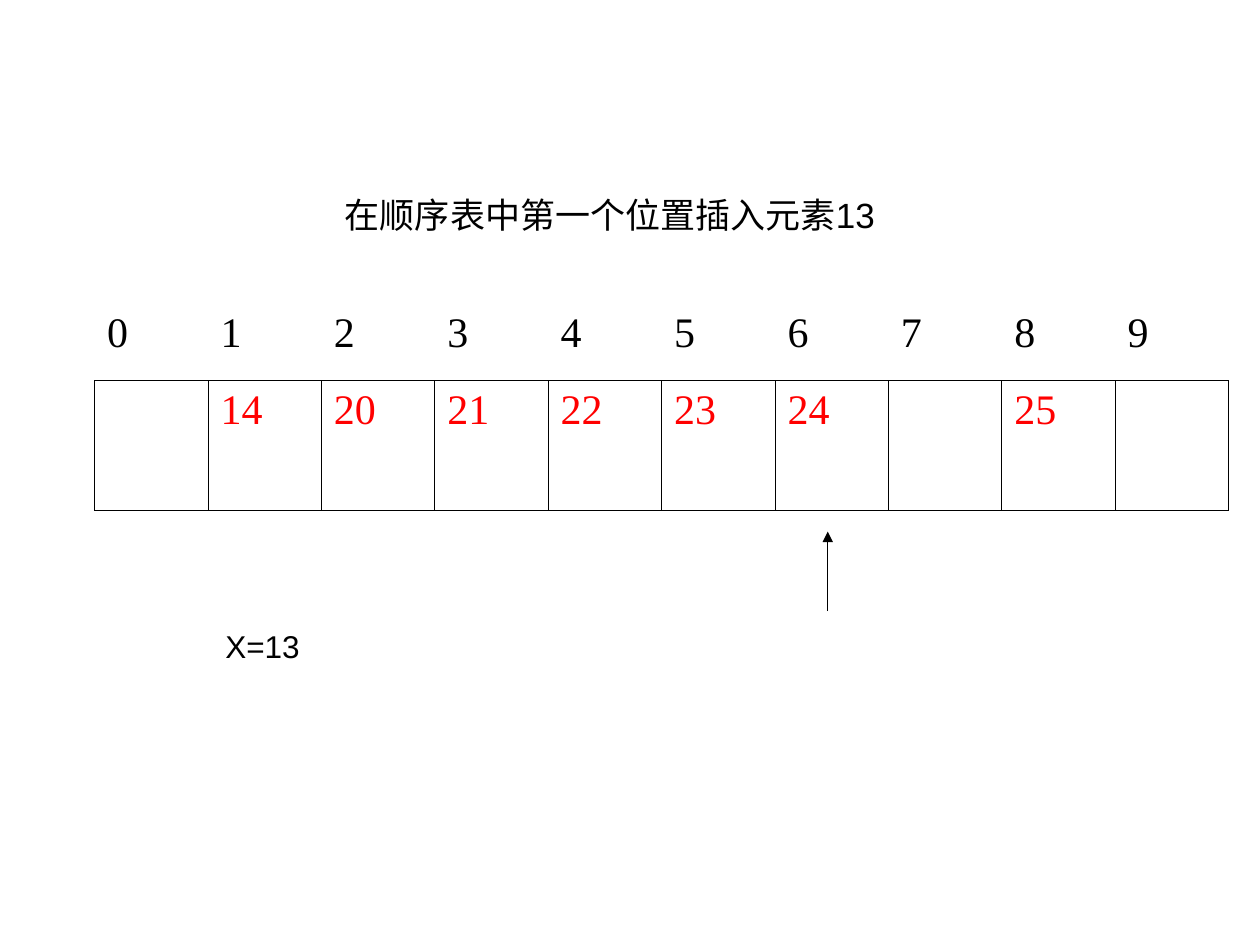
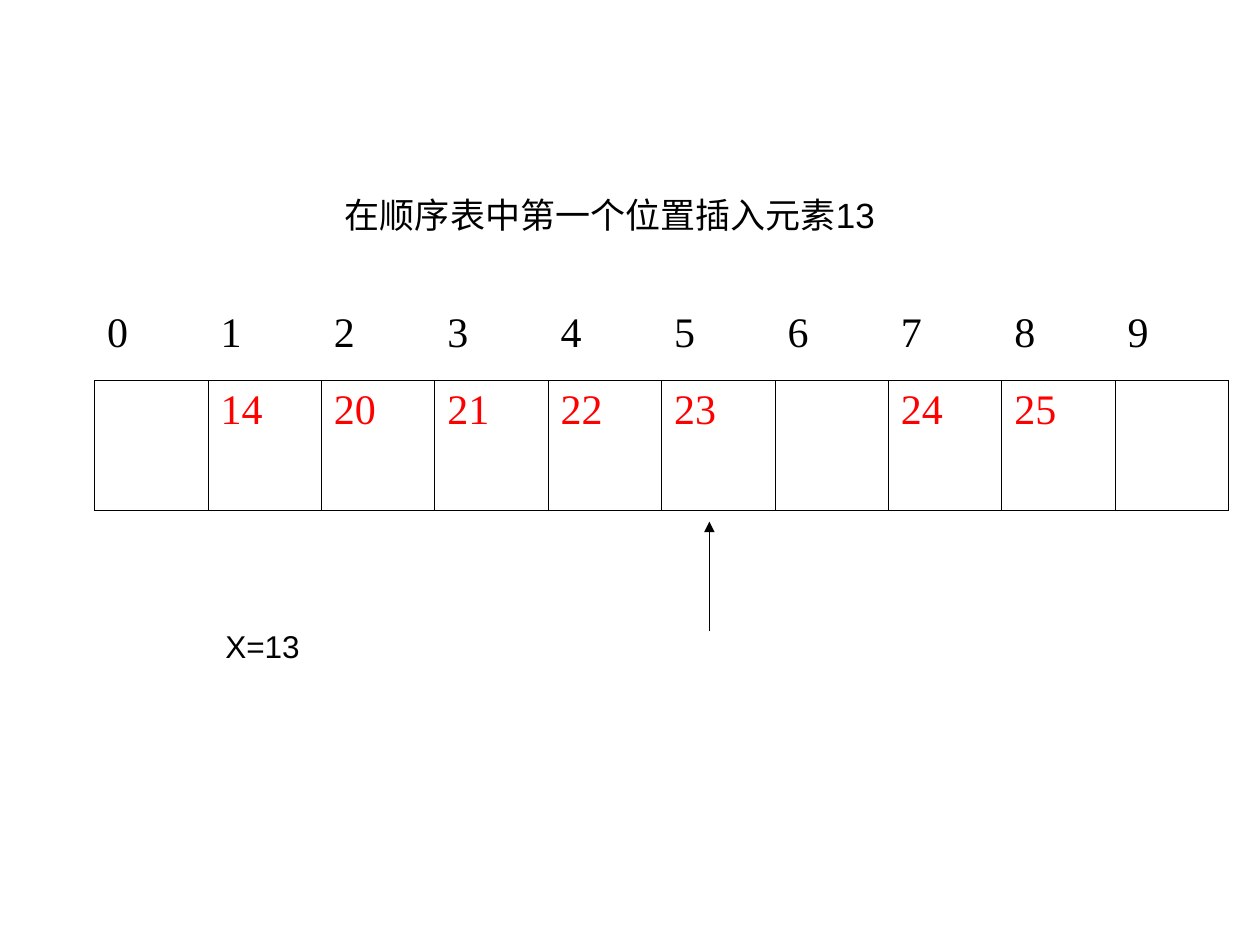
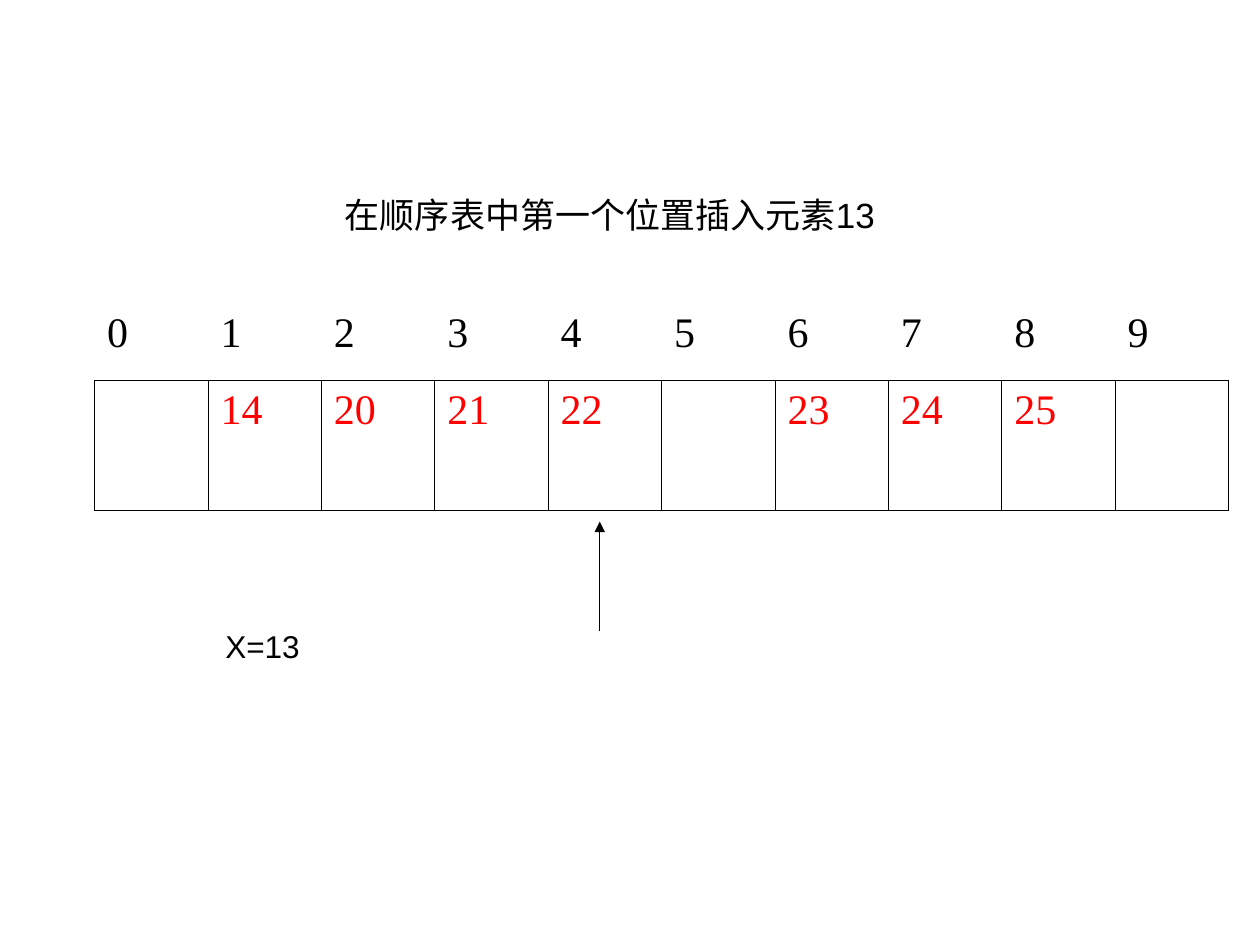
from lxml.etree import SubElement
from pptx import Presentation
from pptx.dml.color import RGBColor
from pptx.enum.shapes import MSO_CONNECTOR
from pptx.enum.text import MSO_ANCHOR, MSO_AUTO_SIZE, PP_ALIGN
from pptx.oxml.ns import qn
from pptx.util import Inches, Pt

TITLE = "在顺序表中第一个位置插入元素13"
NOTE = "X=13"
ITEMS = ["14", "20", "21", "22", "23", "24", "25"]
COUNT = 10
STEPS = [
    {"gap": 7, "x": 6.57, "tail": 4.85, "tip": 4.22},
    {"gap": 6, "x": 5.63, "tail": 5.01, "tip": 4.14},
    {"gap": 5, "x": 4.76, "tail": 5.01, "tip": 4.14},
]
BLACK, RED = "000000", "FF0000"
SANS, SERIF = "Arial", "Times New Roman"
GRID = (0.75, 2.41, 9, 1.64)
ROWS = (0.61, 1.03)
PLAIN = "{2D5ABB26-0587-4C30-8999-92F81FD0307C}"


def color(code):
    return RGBColor.from_string(code)


def write(para, text, size, face, code=BLACK):
    run = para.add_run()
    run.text = text
    run.font.size = Pt(size)
    run.font.name = face
    run.font.color.rgb = color(code)


def border(cell, sides):
    props = cell._tc.get_or_add_tcPr()
    for side in sides:
        line = SubElement(props, qn("a:ln" + side), w=str(Pt(0.45)))
        fill = SubElement(line, qn("a:solidFill"))
        SubElement(fill, qn("a:srgbClr"), val=BLACK)


def add_title(slide):
    shape = slide.shapes.title
    shape.left, shape.top, shape.width, shape.height = map(
        Inches, (0.59, 1.39, 8.5, 0.63))
    frame = shape.text_frame
    frame.auto_size = MSO_AUTO_SIZE.NONE
    frame.vertical_anchor = MSO_ANCHOR.MIDDLE
    para = frame.paragraphs[0]
    para.alignment = PP_ALIGN.CENTER
    write(para, TITLE, 20, SANS)


def add_grid(slide, gap):
    frame = slide.shapes.add_table(2, COUNT, *map(Inches, GRID))
    table = frame.table
    table.first_row = table.horz_banding = False
    table._tbl.tblPr.find(qn("a:tableStyleId")).text = PLAIN
    for col in table.columns:
        col.width = Inches(GRID[2] / COUNT)
    for row, high in zip(table.rows, ROWS):
        row.height = Inches(high)
    slots = [""] + ITEMS[:gap - 1] + [""] + ITEMS[gap - 1:] + [""]
    heads = [str(num) for num in range(COUNT)]
    kinds = [(heads, BLACK, "B"), (slots, RED, "LRTB")]
    for row, (texts, code, sides) in enumerate(kinds):
        for col, text in enumerate(texts):
            cell = table.cell(row, col)
            border(cell, sides)
            cell.fill.background()
            if text:
                write(cell.text_frame.paragraphs[0], text, 24, SERIF, code)


def add_arrow(slide, x, tail, tip):
    arrow = slide.shapes.add_connector(
        MSO_CONNECTOR.STRAIGHT, *map(Inches, (x, tail, x, tip)))
    arrow.line.color.rgb = color(BLACK)
    arrow.line.width = Pt(0.75)
    SubElement(arrow.line._get_or_add_ln(), qn("a:tailEnd"), type="triangle")
    SubElement(arrow._element.spPr, qn("a:effectLst"))


def add_note(slide):
    box = slide.shapes.add_textbox(*map(Inches, (1.69, 4.93, 2.68, 0.4)))
    frame = box.text_frame
    frame.word_wrap = True
    frame.auto_size = MSO_AUTO_SIZE.SHAPE_TO_FIT_TEXT
    para = frame.paragraphs[0]
    para.space_before = Pt(11.2)
    write(para, NOTE, 18, SANS)


def main():
    """Build one slide for each step of the insertion."""
    deck = Presentation()
    deck.slide_width, deck.slide_height = Inches(10), Inches(7.5)
    for step in STEPS:
        slide = deck.slides.add_slide(deck.slide_layouts[5])
        add_grid(slide, step["gap"])
        add_title(slide)
        add_arrow(slide, step["x"], step["tail"], step["tip"])
        add_note(slide)
    deck.save("out.pptx")


if __name__ == "__main__":
    main()
